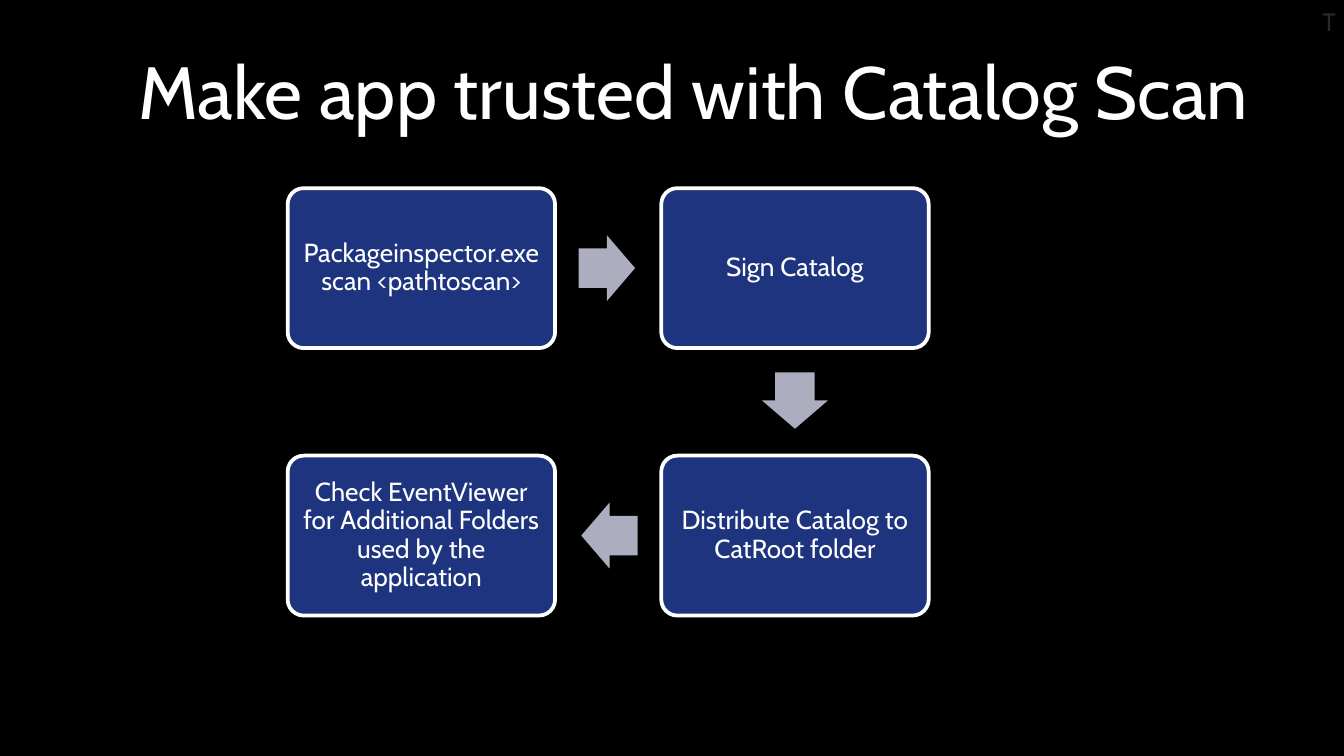
"""Build a slide that shows the four steps of a catalog scan."""
from dataclasses import dataclass

from pptx import Presentation as Deck
from pptx.dml.color import RGBColor as Color
from pptx.enum.shapes import MSO_SHAPE as Shape
from pptx.enum.text import MSO_ANCHOR as Anchor, MSO_AUTO_SIZE as Fit, PP_ALIGN as Align
from pptx.util import Inches, Pt


@dataclass(frozen=True)
class Theme:
    font: str = "Cabin"
    back: str = "000000"
    text: str = "FFFFFF"
    box: str = "1E347F"
    arrow: str = "ACAEC0"
    dim: str = "2A2A2A"
    head: float = 39.6
    body: float = 14
    small: float = 13.5


@dataclass(frozen=True)
class Grid:
    left: float = 2.14
    top: float = 1.4
    wide: float = 1.99
    high: float = 1.19
    col: float = 2.78
    row: float = 1.99

    def mid(self, col, row):
        return (self.left + col * self.col + self.wide / 2,
                self.top + row * self.row + self.high / 2)


def write(frame, text, size, color, font, align=Align.LEFT, anchor=Anchor.TOP,
          inset=(0.05, 0.05), space=1.0, wrap=True):
    frame.word_wrap = wrap
    frame.auto_size = Fit.NONE
    frame.vertical_anchor = anchor
    frame.margin_left = frame.margin_right = Inches(inset[0])
    frame.margin_top = frame.margin_bottom = Inches(inset[1])
    line = frame.paragraphs[0]
    line.alignment = align
    line.line_spacing = space
    run = line.add_run()
    run.text = text
    run.font.name = font
    run.font.size = Pt(size)
    run.font.color.rgb = Color.from_string(color)


class Board:
    def __init__(self, slide, theme, grid):
        self.slide, self.theme, self.grid = slide, theme, grid
        fill = slide.background.fill
        fill.solid()
        fill.fore_color.rgb = Color.from_string(theme.back)

    def title(self, text, left, top, wide, high):
        head = self.slide.shapes.title
        head.left, head.top, head.width, head.height = map(Inches, (left, top, wide, high))
        write(head.text_frame, text, self.theme.head, self.theme.text, self.theme.font)

    def shape(self, kind, mid, wide, high, color):
        left, top = mid[0] - wide / 2, mid[1] - high / 2
        item = self.slide.shapes.add_shape(kind, *map(Inches, (left, top, wide, high)))
        item.shadow.inherit = False
        item.fill.solid()
        item.fill.fore_color.rgb = Color.from_string(color)
        item.line.fill.background()
        return item

    def step(self, text, cell):
        grid, theme = self.grid, self.theme
        box = self.shape(Shape.ROUNDED_RECTANGLE, grid.mid(*cell), grid.wide, grid.high, theme.box)
        box.adjustments[0] = 0.1
        box.line.color.rgb = Color.from_string(theme.text)
        box.line.width = Pt(2)
        write(box.text_frame, text, theme.body, theme.text, theme.font, align=Align.CENTER,
              anchor=Anchor.MIDDLE, inset=(0.06, 0.06), space=0.9)

    def arrow(self, start, end, turn, lag=0.01):
        ends = zip(self.grid.mid(*start), self.grid.mid(*end))
        mid = [(a + b) / 2 - lag * (q - p)
               for (a, b), p, q in zip(ends, start, end)]
        item = self.shape(Shape.RIGHT_ARROW, mid, 0.42, 0.49, self.theme.arrow)
        item.adjustments[0], item.adjustments[1] = 0.6, 0.5
        item.rotation = turn

    def mark(self, text, left, top, wide, high):
        box = self.slide.shapes.add_textbox(*map(Inches, (left, top, wide, high)))
        write(box.text_frame, text, self.theme.small, self.theme.dim, self.theme.font,
              inset=(0.1, 0.05), wrap=False)


def main():
    deck = Deck()
    deck.slide_width, deck.slide_height = Inches(10), Inches(10 * 9 / 16)
    board = Board(deck.slides.add_slide(deck.slide_layouts[5]), Theme(), Grid())
    board.title("Make app trusted with Catalog Scan", 0.98, 0.29, 8.51, 0.94)

    steps = [
        ("Packageinspector.exe scan <pathtoscan>", (0, 0)),
        ("Sign Catalog", (1, 0)),
        ("Distribute Catalog to CatRoot folder", (1, 1)),
        ("Check EventViewer for Additional Folders used by the application", (0, 1)),
    ]
    for text, cell in steps:
        board.step(text, cell)
    cells = [cell for _, cell in steps]
    for start, end, turn in zip(cells, cells[1:], (0, 90, 180)):
        board.arrow(start, end, turn)

    board.mark("T", 9.74, 0, 0.2, 0.33)
    deck.save("out.pptx")


if __name__ == "__main__":
    main()
